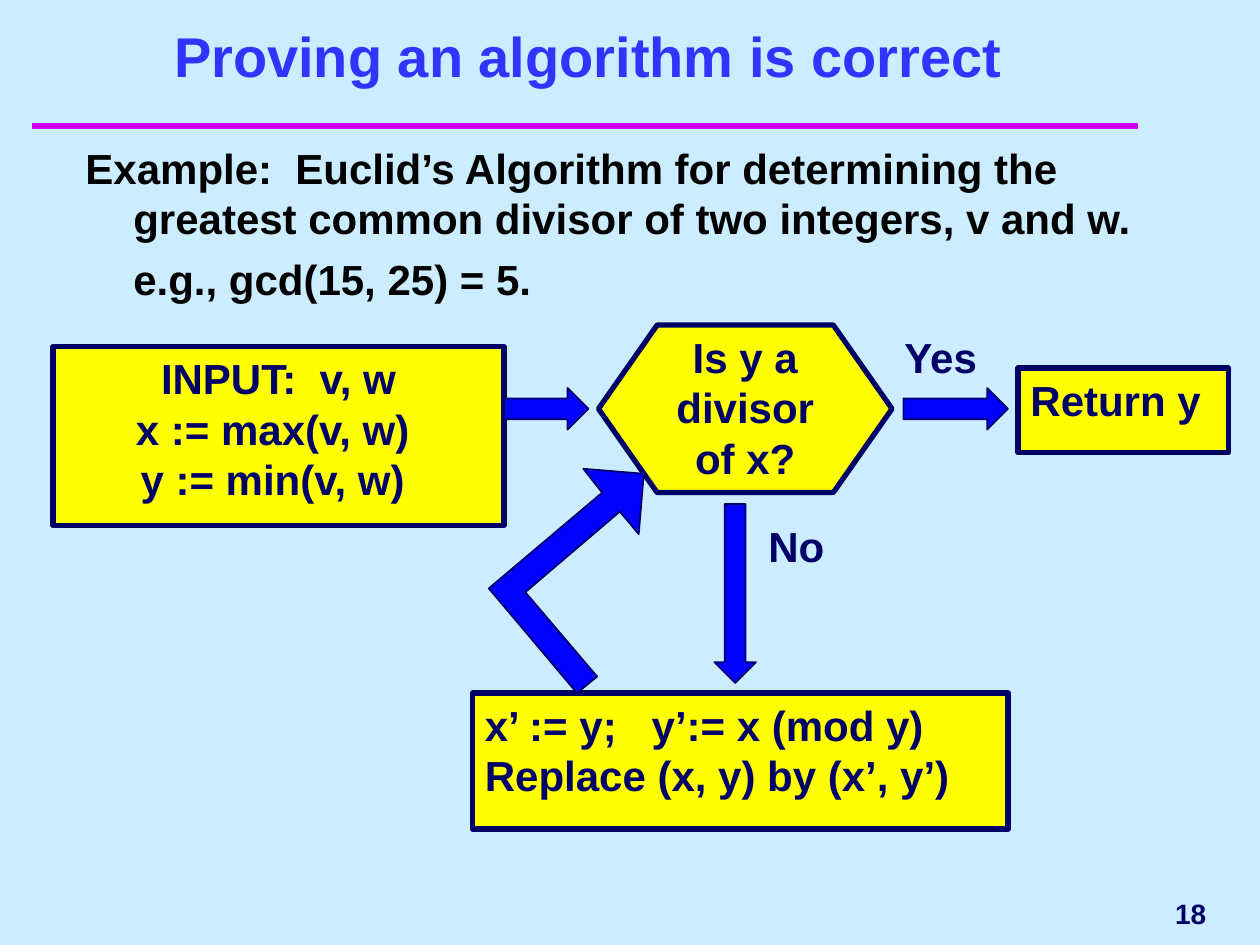
import pptx
import pptx.util
import pptx.dml.color
import pptx.enum.shapes
import pptx.enum.text
import pptx.oxml
import pptx.oxml.ns

Inches = pptx.util.Inches
Pt = pptx.util.Pt
SHAPE = pptx.enum.shapes.MSO_SHAPE
ALIGN = pptx.enum.text.PP_ALIGN
ANCHOR = pptx.enum.text.MSO_ANCHOR

COLORS = {"background": "CCECFF", "title": "3333FF", "rule": "CC00FF", "body": "000000",
          "navy": "000066", "box": "FFFF00", "arrow": "0000FF"}

# Content: places are left, top, width, height in inches
TITLE = "Proving an algorithm is correct"
EXAMPLE = ["Example:  Euclid’s Algorithm for determining the greatest common divisor "
           "of two integers, v and w.",
           "e.g., gcd(15, 25) = 5."]
STEPS = [
    (SHAPE.RECTANGLE, (0.42, 2.75, 3.58, 1.42),
     ["INPUT:  v, w", "x := max(v, w) ", "y := min(v, w) "], ALIGN.CENTER),
    (SHAPE.FLOWCHART_PREPARATION, (4.75, 2.58, 2.33, 1.33), ["Is y a divisor of x?"], ALIGN.CENTER),
    (SHAPE.RECTANGLE, (3.75, 5.5, 4.25, 1.08),
     ["x’ := y;   y’:= x (mod y)", "Replace (x, y) by (x’, y’)"], ALIGN.LEFT),
    (SHAPE.RECTANGLE, (8.08, 2.92, 1.67, 0.67), ["Return y"], ALIGN.LEFT),
]
ARROWS = [
    (SHAPE.RIGHT_ARROW, (4, 3.08, 0.67, 0.33)),
    (SHAPE.RIGHT_ARROW, (7.17, 3.08, 0.83, 0.33)),
    (SHAPE.DOWN_ARROW, (5.67, 4, 0.33, 1.42)),
]
BRANCHES = [("Yes", (7.08, 2.58, 0.92, 0.5)), ("No", (6, 4.08, 0.92, 0.5))]
LOOP_ARROW = [(4.74, 5.37), (4.17, 4.7), (4.92, 4.06), (5.07, 4.24), (5.11, 3.76),
              (4.63, 3.72), (4.78, 3.91), (3.88, 4.67), (4.58, 5.5)]


def rgb(name):
    return pptx.dml.color.RGBColor.from_string(COLORS[name])


def write(shape, lines, size=24, color="navy", align=ALIGN.LEFT, anchor=ANCHOR.TOP,
          wrap=True, before=0):
    frame = shape.text_frame
    frame.word_wrap = wrap
    frame.vertical_anchor = anchor
    frame.text = "\n".join(lines)
    for paragraph in frame.paragraphs:
        paragraph.alignment = align
        paragraph.space_before = Pt(before)
        font = paragraph.runs[0].font
        font.name, font.size, font.bold = "Arial", Pt(size), True
        font.color.rgb = rgb(color)


def paint(shape, fill, width):
    shape.shadow.inherit = False
    shape.fill.solid()
    shape.fill.fore_color.rgb = rgb(fill)
    shape.line.color.rgb = rgb("navy")
    shape.line.width = Pt(width)


def add_text(slide, place, lines, **text_format):
    box = slide.shapes.add_textbox(*map(Inches, place))
    write(box, lines, **text_format)
    return box


def main():
    presentation = pptx.Presentation()
    presentation.slide_width, presentation.slide_height = Inches(10), Inches(7.5)
    slide = presentation.slides.add_slide(presentation.slide_layouts[6])
    slide.background.fill.solid()
    slide.background.fill.fore_color.rgb = rgb("background")

    # Title and rule
    rule = slide.shapes.add_connector(pptx.enum.shapes.MSO_CONNECTOR.STRAIGHT,
                                      Inches(0.25), Inches(1), Inches(9.03), Inches(1))
    rule.line.color.rgb = rgb("rule")
    rule.line.width = Pt(4)
    rule._element.spPr.append(pptx.oxml.parse_xml(
        f"<a:effectLst {pptx.oxml.ns.nsdecls('a')}/>"))
    add_text(slide, (0.42, 0, 8.5, 0.75), [TITLE], size=32, color="title",
             align=ALIGN.CENTER, anchor=ANCHOR.BOTTOM)

    # Example: the first paragraph hangs, the second is fully indented
    example = add_text(slide, (0.58, 1.08, 8.75, 1.75), EXAMPLE, color="body", before=6)
    for paragraph, first_line in zip(example.text_frame.paragraphs, (-0.38, 0)):
        properties = paragraph._p.get_or_add_pPr()
        properties.set("marL", str(Inches(0.38)))
        properties.set("indent", str(Inches(first_line)))

    # Slide number
    add_text(slide, (7.75, 7, 1.92, 0.5), ["18"], size=16, align=ALIGN.RIGHT,
             anchor=ANCHOR.MIDDLE)

    # Flowchart
    for kind, place, lines, align in STEPS:
        step = slide.shapes.add_shape(kind, *map(Inches, place))
        paint(step, "box", 3)
        write(step, lines, align=align)
    for kind, place in ARROWS:
        paint(slide.shapes.add_shape(kind, *map(Inches, place)), "arrow", 1)
    for label, place in BRANCHES:
        add_text(slide, place, [label])

    # Bent arrow that closes the loop
    start, *corners = [(Inches(x), Inches(y)) for x, y in LOOP_ARROW]
    builder = slide.shapes.build_freeform(*start)
    builder.add_line_segments(corners, close=True)
    paint(builder.convert_to_shape(), "arrow", 1)

    presentation.save("out.pptx")


if __name__ == "__main__":
    main()
